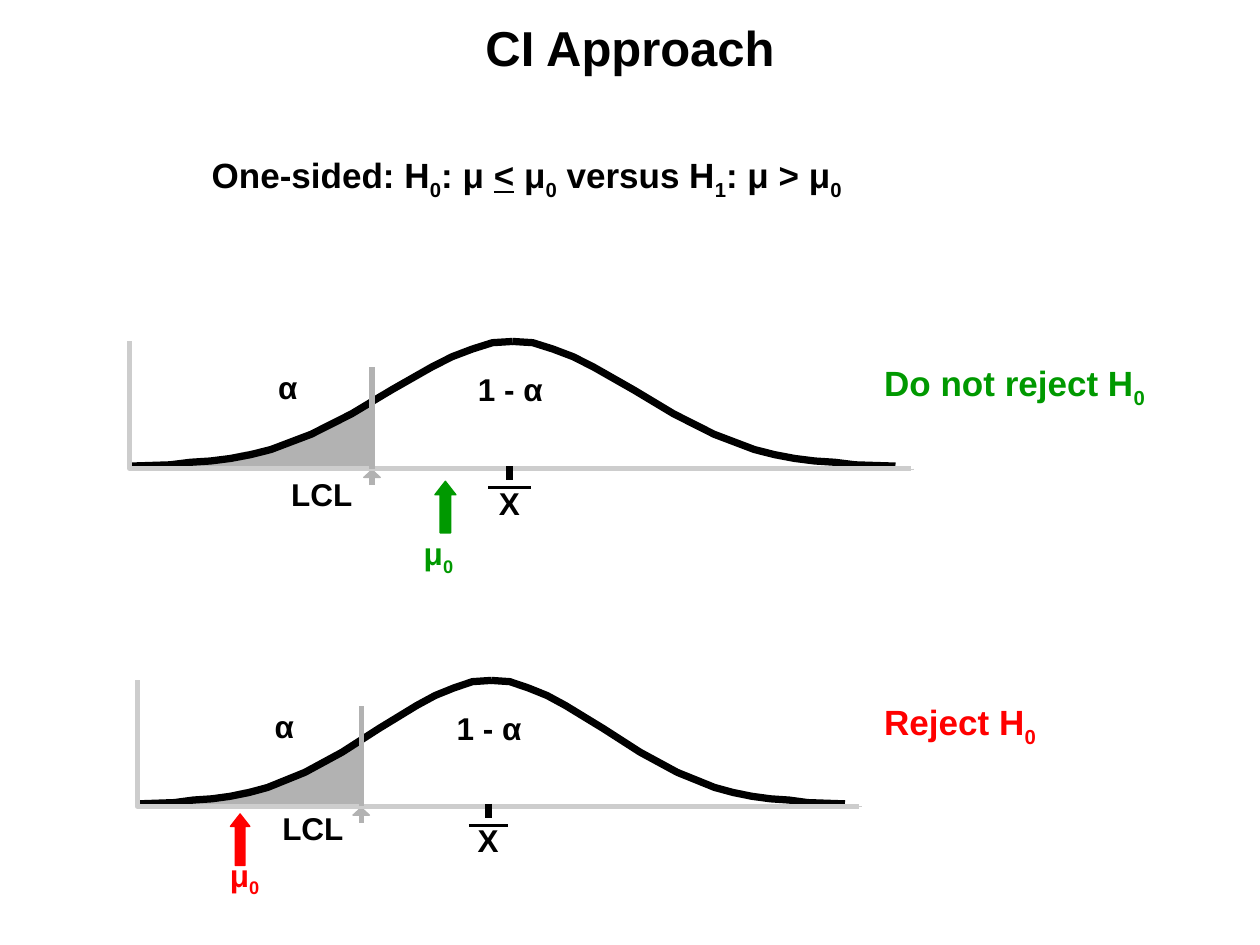
from lxml import etree
from pptx import Presentation
from pptx.dml.color import RGBColor
from pptx.enum import shapes, text
from pptx.oxml.ns import qn
from pptx.util import Pt

COLORS = {"ink": "000000", "shade": "B2B2B2", "axis": "CDCDCD",
          "keep": "009900", "reject": "FF0000"}
FONT = "Arial"

# Half bell: x in steps of 1/19 of the half width, y as a share of the height
BELL_X = [0, 2, 3, 4, 5, 6, 7, 9, 11, 13, 14, 15, 16, 17, 18, 19]
BELL_Y = [.98, .97, .95, .94, .92, .89, .85, .73, .57, .38, .29, .2, .12, .06, .01, 0]
# Edge of the alpha tail, in percent of the panel width and height
TAIL = [(2.6, 99), (5.6, 97), (8.7, 94), (11.6, 91), (14.5, 87), (17.1, 84), (19.7, 79),
        (22.1, 75), (24.2, 70), (26.3, 65), (28.1, 60), (29.7, 55), (31, 50)]


def rgb(name):
    return RGBColor.from_string(COLORS[name])


def add_text(s, box, runs, size=18, color="ink", align="LEFT", before=0,
             inset=(0, 0), wrap=True, anchor="TOP"):
    """Runs are (text, style) pairs; style is "", "sub" or "underline"."""
    tf = s.shapes.add_textbox(*map(Pt, box)).text_frame
    tf.word_wrap = wrap
    tf.vertical_anchor = text.MSO_ANCHOR[anchor]
    tf.margin_left = tf.margin_right = Pt(inset[0])
    tf.margin_top = tf.margin_bottom = Pt(inset[1])
    p = tf.paragraphs[0]
    p.alignment = text.PP_ALIGN[align]
    p.space_before = Pt(before)
    for content, style in runs:
        r = p.add_run()
        r.text = content
        r.font.name, r.font.size, r.font.bold = FONT, Pt(size), True
        r.font.color.rgb = rgb(color)
        if style == "underline":
            r.font.underline = True
        elif style == "sub":
            r.font._element.set("baseline", "-25000")


def paint(sp, fill=None, line=None, width=0.75):
    sp.shadow.inherit = False
    if fill:
        sp.fill.solid()
        sp.fill.fore_color.rgb = rgb(fill)
    else:
        sp.fill.background()
    if line:
        sp.line.color.rgb = rgb(line)
        sp.line.width = Pt(width)
    else:
        sp.line.fill.background()


def add_path(s, points, closed=False, **style):
    points = [(Pt(x), Pt(y)) for x, y in points]
    builder = s.shapes.build_freeform(*points[0], scale=1.0)
    builder.add_line_segments(points[1:], close=closed)
    paint(builder.convert_to_shape(), **style)


def add_line(s, x1, y1, x2, y2, color, width=2.86):
    line = s.shapes.add_connector(shapes.MSO_CONNECTOR.STRAIGHT, *map(Pt, (x1, y1, x2, y2)))
    line.line.color.rgb = rgb(color)
    line.line.width = Pt(width)
    etree.SubElement(line._element.spPr, qn("a:effectLst"))


def add_heading(s, box):
    x, y, w, h = box
    add_text(s, (x, y, w, 54), [("CI Approach", "")], size=28, align="CENTER",
             inset=(7.2, 3.6), anchor="MIDDLE")
    add_text(s, (x + 29.5, y + 84.2, 543, 34.6),
             [("One-sided: H", ""), ("0", "sub"), (": μ ", ""), ("<", "underline"),
              (" μ", ""), ("0", "sub"), (" versus H", ""), ("1", "sub"),
              (": μ > μ", ""), ("0", "sub")],
             size=20, align="CENTER", before=12.5, inset=(7.2, 3.6))


def add_bell(s, box):
    """Shaded tail, curve, axes and ticks."""
    x, y, w, h = box
    base, cut, half = y + h, x + .31 * w, .49 * w
    tail = [(x + px * w / 100, y + py * h / 100) for px, py in TAIL]
    add_path(s, tail + [(cut, y + .99 * h)], closed=True, fill="shade")
    add_line(s, cut, base + 9.4, cut, base + 5, "shade")
    add_path(s, [(cut - 4.7, base + 5), (cut, base + .7), (cut + 4.7, base + 5)],
             closed=True, fill="shade", line="shade")
    peak = x + half
    for side in (1, -1):
        add_path(s, [(peak + side * half * (1 - i / 19), y + share * h)
                     for i, share in zip(BELL_X, BELL_Y)], line="ink", width=4.14)
    add_path(s, [(x, y), (x, base), (x + w, base)], line="axis", width=2.86)
    for i in range(1, 11):
        tick = x + w * i / 10
        add_line(s, tick, base, tick, base + .6, "axis")
    add_line(s, cut, base, cut, y + .2 * h, "shade")


def add_panel(s, box, lcl, arrow, mu, verdict, color):
    """lcl, arrow and mu are offsets from the left end of the baseline."""
    x, y, w, h = box
    base, mean = y + h, x + .486 * w
    add_bell(s, box)
    add_text(s, (x + .19 * w, y + 15.1, 11.5, 21.6), [("α", "")], wrap=False)
    add_text(s, (x + .362 * w, y + 13, .25 * w, 28.8), [("1 - α", "")],
             align="CENTER", before=11.2, inset=(7.2, 3.6))
    add_text(s, (x + lcl[0], base + lcl[1], 35.3, 21.6), [("LCL", "")], wrap=False)
    mu_width = .387 * w
    add_text(s, (x + mu[0] - mu_width / 2, base + mu[1], mu_width, 24.5),
             [("μ", ""), ("0", "sub")], color=color, align="CENTER")
    add_line(s, mean, base - 1.4, mean, base + 6.5, "ink", 4)
    add_text(s, (mean - .072 * w, base + 8.6, .144 * w, 21.6), [("X", "")], align="CENTER")
    add_line(s, mean - .027 * w, base + 10.8, mean + .027 * w, base + 10.8, "ink", 2)
    arrow_width = .027 * w
    sp = s.shapes.add_shape(shapes.MSO_SHAPE.UP_ARROW, Pt(x + arrow[0] - arrow_width / 2),
                            Pt(base + arrow[1]), Pt(arrow_width), Pt(29.5))
    sp.adjustments[0], sp.adjustments[1] = .5, .64
    paint(sp, fill=color, line=color)
    add_text(s, (498.2, y + 8, 191.5, 34.6), [(verdict, ""), ("0", "sub")], size=20,
             color=color, before=12.5, inset=(7.2, 3.6))


def main():
    prs = Presentation()
    prs.slide_width, prs.slide_height = Pt(720), Pt(540)
    s = prs.slides.add_slide(prs.slide_layouts[6])
    add_heading(s, (0, 0, 720, 120))
    add_panel(s, (74.2, 195.1, 446.4, 72.7), lcl=(92.2, 3.6), arrow=(180.3, 7.2),
              mu=(176.4, 37.4), verdict="Do not reject H", color="keep")
    add_panel(s, (78.5, 388.8, 412.6, 72), lcl=(82.8, 1.4), arrow=(58.7, 4.3),
              mu=(61.2, 28.1), verdict="Reject H", color="reject")
    prs.save("out.pptx")


if __name__ == "__main__":
    main()
